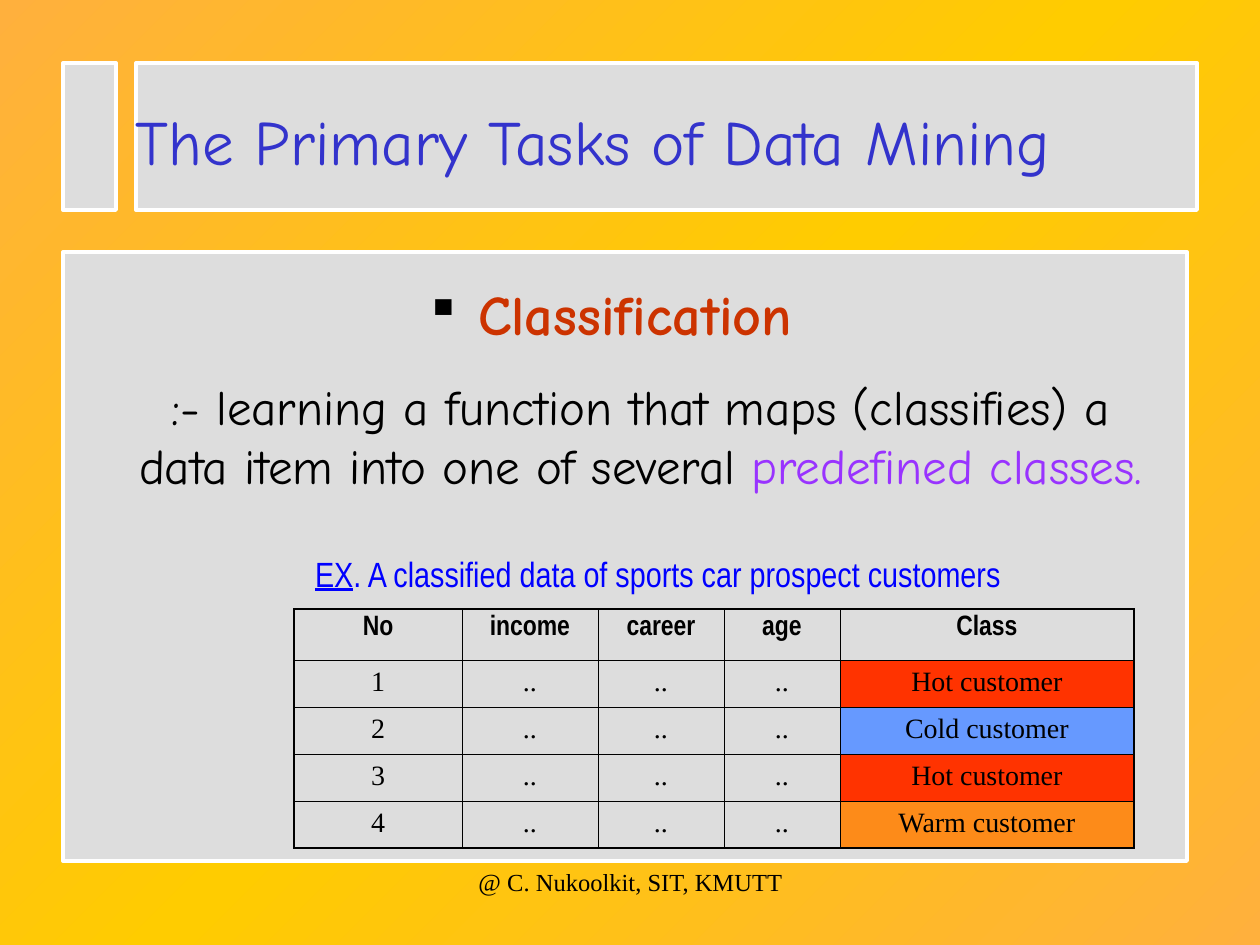
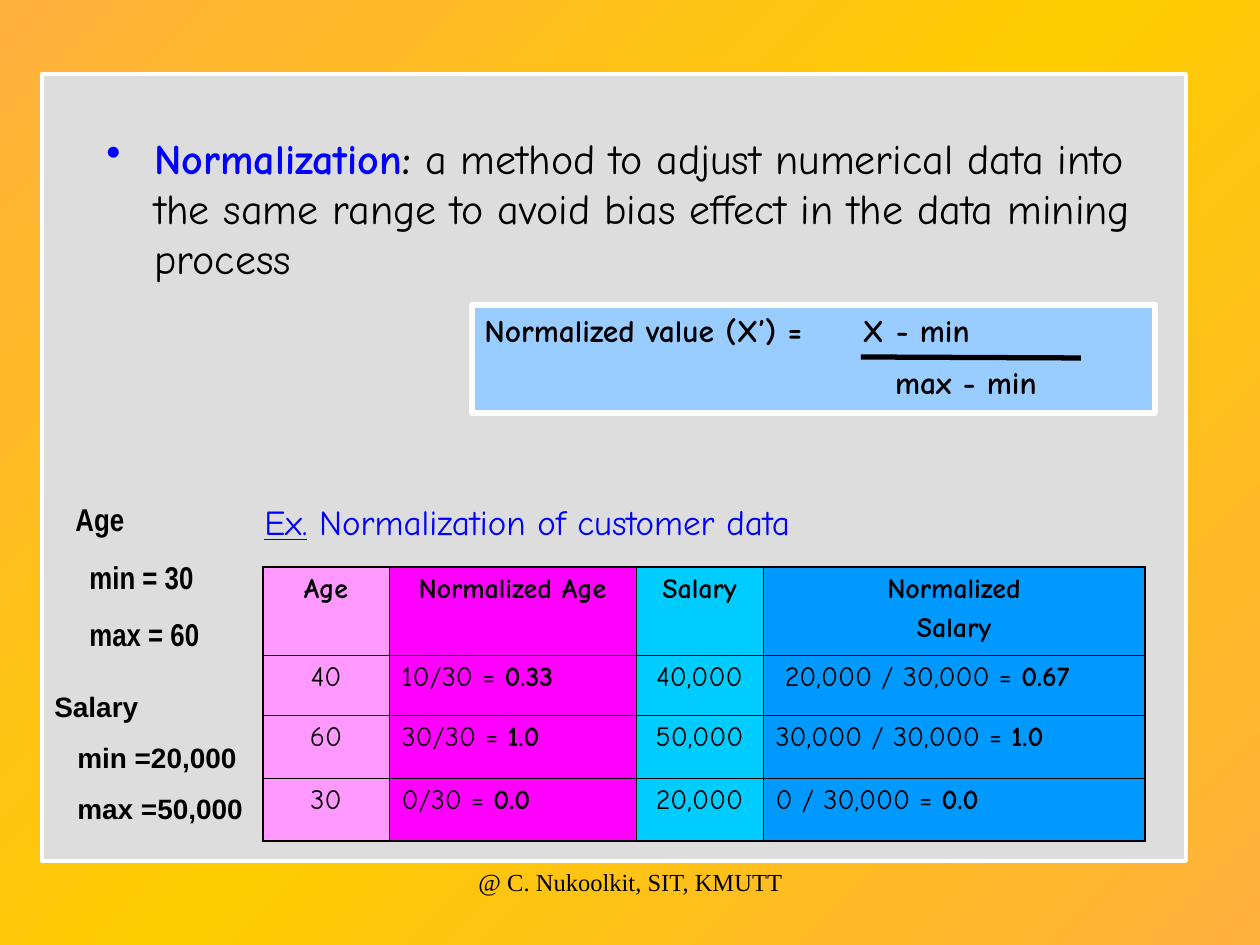
from copy import deepcopy

from lxml.etree import SubElement
from pptx import Presentation
from pptx.dml.color import RGBColor
from pptx.enum.shapes import MSO_CONNECTOR, MSO_SHAPE
from pptx.enum.text import MSO_ANCHOR, MSO_AUTO_SIZE, PP_ALIGN
from pptx.oxml.ns import qn
from pptx.util import Pt

PX = 914400 / 126
COMIC, NARROW, SERIF, SANS = "Comic Neue", "Arial Narrow", "Times New Roman", "Arial"
BLACK, WHITE, GREY, BLUE = "000000", "FFFFFF", "DDDDDD", "0000FF"
ORANGE, YELLOW = "FFB03D", "FFCC00"
TITLE_ONLY, BLANK = 5, 6


def px(*lengths):
    return [round(n * PX) for n in lengths]


def rgb(color):
    return RGBColor.from_string(color)


# ---- Text ----

def add_run(p, text, size=16, font=COMIC, color=BLACK, bold=False, underline=False):
    r = p.add_run()
    r.text = text
    r.font.size, r.font.name = Pt(size), font
    r.font.bold, r.font.underline = bold, underline
    r.font.color.rgb = rgb(color)


def add_para(tf, *runs, align=PP_ALIGN.LEFT, before=0, left=0, hang=0,
             bullet=None, bullet_color=BLACK, tab=None, **fmt):
    """Each run is a string, or a string with the format that differs from fmt."""
    p = tf.add_paragraph() if tf.text else tf.paragraphs[0]
    pPr = p._p.get_or_add_pPr()
    margin, indent = px(left, -hang)
    pPr.set("marL", str(margin))
    pPr.set("indent", str(indent))
    if bullet:
        SubElement(SubElement(pPr, qn("a:buClr")), qn("a:srgbClr"), val=bullet_color)
        SubElement(pPr, qn("a:buChar"), char=bullet)
    if tab:
        SubElement(SubElement(pPr, qn("a:tabLst")), qn("a:tab"),
                   pos=str(px(tab)[0]), algn="l")
    p.alignment, p.space_before = align, Pt(before)
    for run in runs:
        text, own = (run, {}) if isinstance(run, str) else run
        add_run(p, text, **{**fmt, **own})


def add_box(s, x, y, w, h, wrap=True):
    tf = s.shapes.add_textbox(*px(x, y, w, h)).text_frame
    tf.word_wrap = wrap
    return tf


# ---- Parts both slides share ----

def set_background(master):
    fill = master.background.fill
    fill.gradient()
    fill.gradient_angle = 135
    stops = next(master.element.iter(qn("a:gsLst")))
    stops.append(deepcopy(stops[0]))
    for stop, color, pos in zip(fill.gradient_stops, (ORANGE, YELLOW, ORANGE), (0, 0.5, 1)):
        stop.color.rgb, stop.position = rgb(color), pos


def add_panel(s, x, y, w, h, fill=GREY, line=2.25):
    sp = s.shapes.add_shape(MSO_SHAPE.RECTANGLE, *px(x, y, w, h))
    sp.shadow.inherit = False
    sp.fill.solid()
    sp.fill.fore_color.rgb = rgb(fill)
    sp.line.color.rgb, sp.line.width = rgb(WHITE), Pt(line)
    return sp


def add_footer(s):
    add_para(add_box(s, 431, 861, 399, 63), "@ C. Nukoolkit, SIT, KMUTT",
             align=PP_ALIGN.CENTER, size=14, font=SERIF)


def set_borders(cell, edges):
    tcPr = cell._tc.get_or_add_tcPr()
    for side, outer in zip("LRTB", edges):
        ln = SubElement(tcPr, qn(f"a:ln{side}"), w=str(Pt(1.08 if outer else 0.45)))
        SubElement(SubElement(ln, qn("a:solidFill")), qn("a:srgbClr"), val=BLACK)


def add_grid(s, x, y, widths, heights, fills):
    """Table with a heavier frame; fills holds one colour or None per cell."""
    n_rows, n_cols = len(heights), len(widths)
    table = s.shapes.add_table(
        n_rows, n_cols, *px(x, y, sum(widths), sum(heights))).table
    table.first_row = table.horz_banding = False
    for column, w in zip(table.columns, px(*widths)):
        column.width = w
    for row, h in zip(table.rows, px(*heights)):
        row.height = h
    for i in range(n_rows):
        for j in range(n_cols):
            cell = table.cell(i, j)
            set_borders(cell, (j == 0, j == n_cols - 1, i == 0, i == n_rows - 1))
            if fills[i][j]:
                cell.fill.solid()
                cell.fill.fore_color.rgb = rgb(fills[i][j])
            else:
                cell.fill.background()
    return table


# ---- Classification slide ----

def title_band(s, x, y, text):
    add_panel(s, x, y, 53, 147)
    add_panel(s, x + 73, y, 1061, 147)
    title = s.shapes.title
    title.left, title.top, title.width, title.height = px(x + 60, y + 33, 1052, 88)
    title.element.getparent().append(title.element)  # in front of the band
    tf = title.text_frame
    tf.auto_size, tf.vertical_anchor = MSO_AUTO_SIZE.NONE, MSO_ANCHOR.TOP
    add_para(tf, text, size=36, color="3333CC")


def definition(s, x, y):
    tf = add_box(s, x, y, 1092, 466)
    add_para(tf, (" ", {"size": 28}),
             ("Classification", {"size": 32, "color": "CC3300", "bold": True}),
             align=PP_ALIGN.CENTER, bullet="▪")
    add_para(tf, ":- learning a function that maps (classifies) a data item into one of several ",
             ("predefined classes.", {"color": "9933FF"}),
             align=PP_ALIGN.CENTER, before=17.5, left=63, size=28)


def customer_table(s, x, y):
    class_fill = {"Hot": "FF3300", "Cold": "6699FF", "Warm": "FD8B19"}
    header = ["No", "income", "career", "age", "Class"]
    classes = ["Hot", "Cold", "Hot", "Warm"]
    rows = [header] + [[str(n), "..", "..", "..", f"{name} customer"]
                       for n, name in enumerate(classes, 1)]
    fills = [[None] * 5] + [[None] * 4 + [class_fill[name]] for name in classes]
    table = add_grid(s, x, y, [168, 136, 126, 116, 294], [51] + [47] * 4, fills)
    for i, row in enumerate(rows):
        for j, text in enumerate(row):
            add_para(table.cell(i, j).text_frame, text, align=PP_ALIGN.CENTER,
                     font=SERIF if i else NARROW, bold=i == 0)
    add_para(add_box(s, x + 7, y - 63, 714, 55, wrap=False),
             ("EX", {"underline": True}), ". A classified data of sports car prospect customers",
             align=PP_ALIGN.CENTER, size=20, font=NARROW, color=BLUE)


def classification_slide(prs):
    s = prs.slides.add_slide(prs.slide_layouts[TITLE_ONLY])
    add_panel(s, 63, 252, 1124, 609)
    title_band(s, 63, 63, "The Primary Tasks of Data Mining")
    definition(s, 63, 273)
    customer_table(s, 294, 609)
    add_footer(s)


# ---- Normalization slide ----

def formula(s, x, y):
    sp = add_panel(s, x, y, 683, 108, fill="99CCFF", line=3)
    tf = sp.text_frame
    tf.word_wrap, tf.vertical_anchor = True, MSO_ANCHOR.TOP
    add_para(tf, "Normalized value (X’) =\tX - min", tab=364, size=18, bold=True)
    # Fraction bar and denominator
    bar = s.shapes.add_connector(MSO_CONNECTOR.STRAIGHT,
                                 *px(x + 389, y + 52, x + 609, y + 53))
    bar.line.color.rgb, bar.line.width = rgb(BLACK), Pt(3)
    SubElement(bar.element.spPr, qn("a:effectLst"))
    add_para(add_box(s, x + 347, y + 52, 294, 50), "max - min",
             align=PP_ALIGN.CENTER, size=18, bold=True)


def range_note(s, x, y, w, h, lines, left, before, **fmt):
    tf = add_box(s, x, y, w, h)
    for i, line in enumerate(lines):
        add_para(tf, line, left=left if i else 0, before=before if i else 0,
                 bold=True, **fmt)


def normalized_table(s, x, y):
    header = ["Age", "Normalized Age", "Salary", "Normalized\nSalary"]
    # Each normalized value is a working and its result
    rows = [["40", ("10/30 = ", "0.33"), "40,000", (" 20,000 / 30,000 = ", "0.67")],
            ["60", ("30/30 = ", "1.0"), "50,000", ("30,000 / 30,000 = ", "1.0")],
            ["30", ("0/30 = ", "0.0"), "20,000", ("0 / 30,000 = ", "0.0")]]
    fills = [["FF99FF", "FF00FF", "00CCFF", "0099FF"]] * 4
    table = add_grid(s, x, y, [126, 247, 127, 382], [88, 60, 63, 63], fills)
    for j, text in enumerate(header):
        for k, line in enumerate(text.split("\n")):
            add_para(table.cell(0, j).text_frame, line, align=PP_ALIGN.CENTER,
                     before=4 * k, bold=True)
    for i, row in enumerate(rows, 1):
        for j, value in enumerate(row):
            tf = table.cell(i, j).text_frame
            if isinstance(value, str):
                add_para(tf, value, align=PP_ALIGN.CENTER)
            else:
                add_para(tf, value[0], (value[1], {"bold": True}))
    add_para(add_box(s, x - 11, y - 73, 756, 55),
             ("Ex.", {"underline": True}), " Normalization of customer data",
             size=20, color=BLUE)


def normalization_slide(prs):
    s = prs.slides.add_slide(prs.slide_layouts[BLANK])
    add_panel(s, 42, 74, 1144, 787)
    add_para(add_box(s, 94, 126, 1071, 567),
             ("Normalization", {"color": BLUE, "bold": True}), (":", {"bold": True}),
             " a method to adjust numerical data into the same range"
             " to avoid bias effect in the data mining process",
             left=48, hang=48, bullet="•", bullet_color=BLUE, size=24)
    formula(s, 472, 305)
    normalized_table(s, 263, 567)
    range_note(s, 63, 494, 158, 166, ["Age", "min = 30", "max = 60"],
               left=14, before=11.2, size=18, font=NARROW)
    range_note(s, 42, 683, 262, 149, ["Salary", "min =20,000", "max =50,000"],
               left=23, before=10, size=16, font=SANS)
    add_footer(s)


def main():
    prs = Presentation()
    prs.slide_width, prs.slide_height = px(1260, 945)
    set_background(prs.slide_master)
    classification_slide(prs)
    normalization_slide(prs)
    prs.save("out.pptx")


if __name__ == "__main__":
    main()
